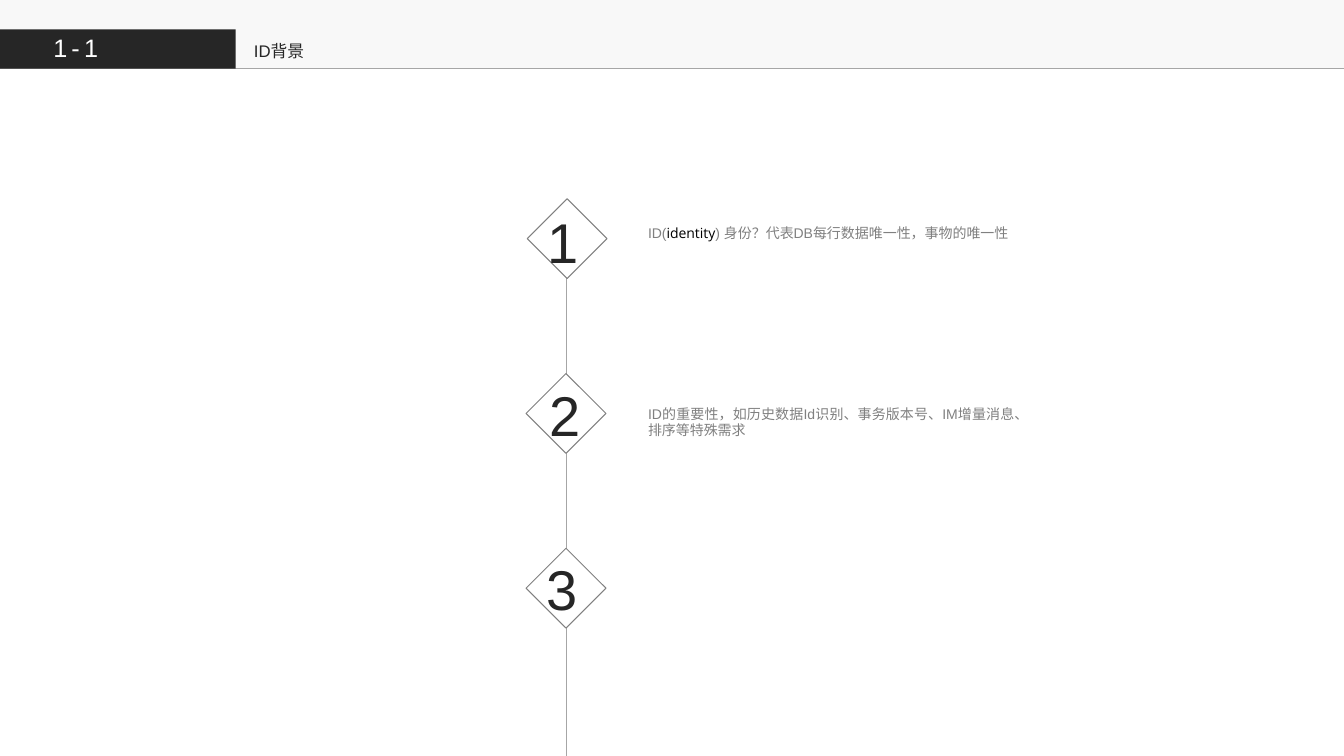
from lxml.etree import SubElement
from pptx import Presentation
from pptx.dml.color import RGBColor
from pptx.enum.shapes import MSO_CONNECTOR, MSO_SHAPE
from pptx.enum.text import MSO_ANCHOR, MSO_AUTO_SIZE, PP_ALIGN
from pptx.oxml.ns import qn
from pptx.util import Pt

RECT = MSO_SHAPE.RECTANGLE
DIAMOND = MSO_SHAPE.DIAMOND
STRAIGHT = MSO_CONNECTOR.STRAIGHT
TOP, MIDDLE = MSO_ANCHOR.TOP, MSO_ANCHOR.MIDDLE
LEFT, JUSTIFY = PP_ALIGN.LEFT, PP_ALIGN.JUSTIFY
GROW = MSO_AUTO_SIZE.SHAPE_TO_FIT_TEXT

WIDTH, HEIGHT = 960, 540
COLORS = {
    "band": "F2F2F2",
    "dark": "262626",
    "rule": "A6A6A6",
    "gray": "808080",
    "white": "FFFFFF",
    "black": "000000",
}


def color(name):
    return RGBColor.from_string(COLORS[name])


def write(frame, runs, size, ink="dark", align=LEFT, anchor=TOP, gap=0):
    frame.word_wrap = True
    frame.auto_size = GROW
    frame.vertical_anchor = anchor
    para = frame.paragraphs[0]
    para.alignment = align
    for text, face, tint in [(runs, "Arial", ink)] if isinstance(runs, str) else runs:
        run = para.add_run()
        run.text = text
        run.font.name = face
        run.font.size = Pt(size)
        run.font.color.rgb = color(tint)
        if gap:
            run.font._element.set("spc", str(gap * 100))


class Deck:
    """Hold the presentation, its style and the current slide."""

    def __init__(self):
        self.file = Presentation()
        self.file.slide_width, self.file.slide_height = Pt(WIDTH), Pt(HEIGHT)
        self.slide = self.file.slides.add_slide(self.file.slide_layouts[5])
        self.shapes = self.slide.shapes

    def shape(self, kind, box, fill, edge=None, alpha=None):
        item = self.shapes.add_shape(kind, *map(Pt, box))
        item.shadow.inherit = False
        item.fill.solid()
        item.fill.fore_color.rgb = color(fill)
        if alpha:
            tint = item._element.spPr.find(".//" + qn("a:srgbClr"))
            SubElement(tint, qn("a:alpha"), val=str(alpha * 1000))
        if edge:
            item.line.color.rgb = color(edge)
            item.line.width = Pt(0.75)
        else:
            item.line.fill.background()

    def line(self, *ends):
        item = self.shapes.add_connector(STRAIGHT, *map(Pt, ends))
        item.line.color.rgb = color("rule")
        item.line.width = Pt(0.5)
        SubElement(item._element.spPr, qn("a:effectLst"))

    def text(self, box, runs, size, **style):
        item = self.shapes.add_textbox(*map(Pt, box))
        write(item.text_frame, runs, size, **style)

    def title(self, box, runs, size, **style):
        item = self.shapes.title
        item.left, item.top, item.width, item.height = map(Pt, box)
        write(item.text_frame, runs, size, **style)
        self.shapes._spTree.append(item._element)


def main():
    deck = Deck()
    deck.shape(RECT, (0, 0, WIDTH, 49), "band", alpha=50)
    deck.line(0, 49, WIDTH, 49)
    deck.shape(RECT, (0, 21, 168.4, 28), "dark")
    deck.title((174.2, 25.2, 221, 21.8), "ID背景", 12)
    deck.text((31, 19.5, 98.6, 29), "1-1", 18, ink="white", gap=3)

    deck.line(404.6, 159, 404.6, HEIGHT)
    marks = [(376.6, 383.8, 144.7), (375.8, 385.2, 267.8), (375.8, 383, 392.4)]
    for step, (left, num_left, num_top) in enumerate(marks):
        deck.shape(DIAMOND, (left, 142 + 124.8 * step, 57, 57), "white", edge="gray")
        deck.text((num_left, num_top, 30, 55.4), str(step + 1), 40, anchor=MIDDLE)

    identity = [
        ("ID(", "Arial", "gray"),
        ("identity", "Open Sans", "black"),
        (") 身份？代表DB每行数据唯一性，事物的唯一性", "Arial", "gray"),
    ]
    value = "ID的重要性，如历史数据Id识别、事务版本号、IM增量消息、排序等特殊需求"
    for top, high, note in [(157, 19.4, identity), (285.8, 31.7, value)]:
        deck.text((455.8, top, 285.8, high), note, 10, ink="gray", align=JUSTIFY)

    deck.file.save("out.pptx")


if __name__ == "__main__":
    main()
